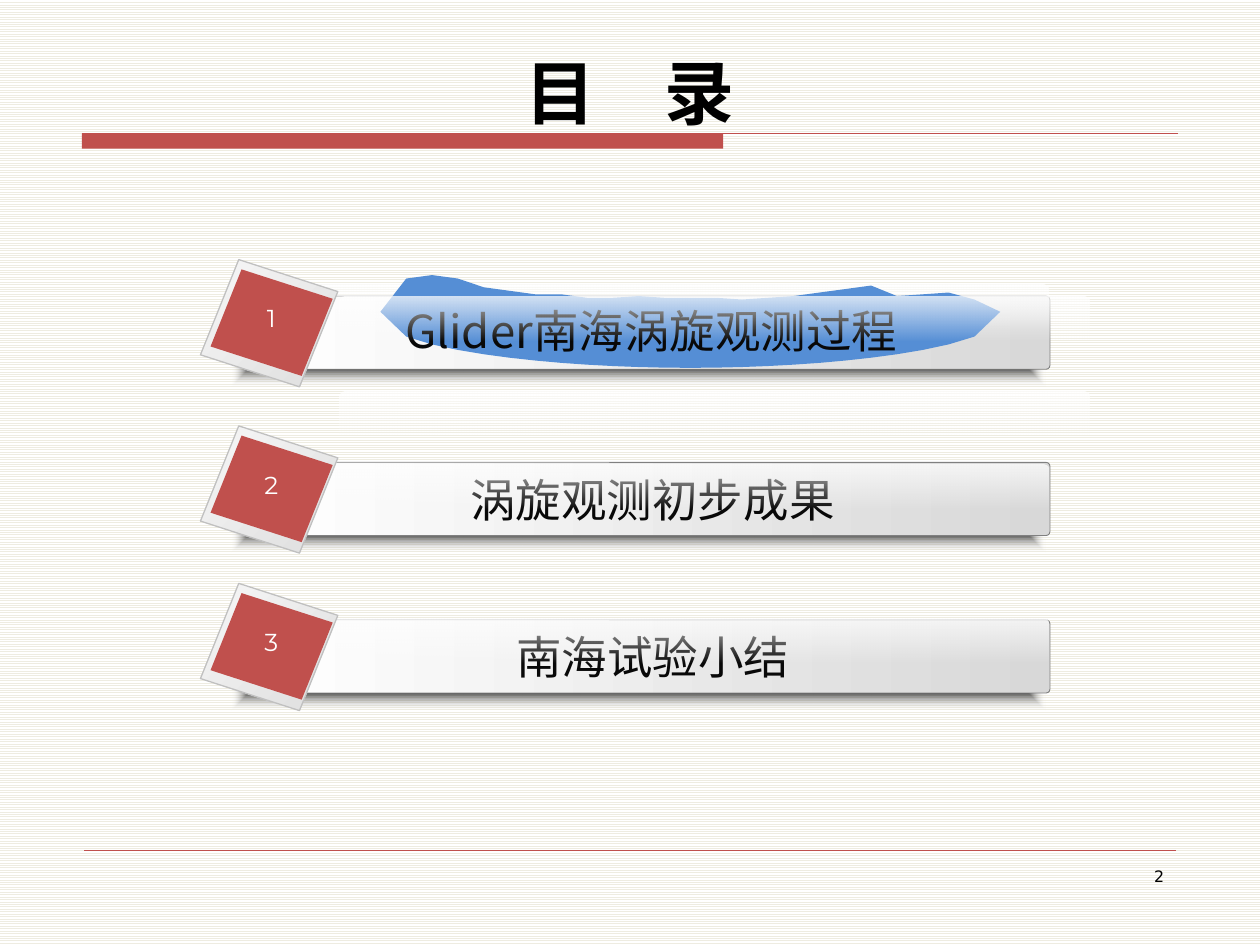
from math import pi, sin
from lxml.etree import SubElement
from pptx import Presentation
from pptx.dml.color import RGBColor
from pptx.enum.dml import MSO_PATTERN
from pptx.enum.shapes import MSO_CONNECTOR, MSO_SHAPE
from pptx.enum.text import MSO_ANCHOR, MSO_AUTO_SIZE, PP_ALIGN
from pptx.oxml.ns import qn
from pptx.util import Pt

RED = "C0504D"
BLUE = "558ED5"
INK = "080808"
BLACK = "000000"
WHITE = "FFFFFF"
CJK = "Noto Sans CJK SC"

GLOSS = [(WHITE, 75), (WHITE, 0)]
SHADOW = [(INK, 80), (WHITE, 0)]
BAR = [(WHITE, 100), ("D8D8D8", 100)]
PAPER = [("F8F8F8", 100), ("DDDDDD", 100)]

HEADER_LEFT, HEADER_RIGHT, HEADER_TOP = 46.8, 673.2, 76.3
BAR_LEFT, BAR_WIDTH, BAR_HEIGHT = 146, 454, 41.8
TILE_ACROSS, TILE_DOWN = (56.6, 18.3), (-21.9, 54.4)
FIRST_TOP = 169.2
ROWS = [
    ("1", "", FIRST_TOP, -6.5),
    ("2", "涡旋观测初步成果", 264.2, 1.4),
    ("3", "南海试验小结", 354.2, -0.7),
]
BRUSH_LEFT, BRUSH_WIDTH = 217.4, 354.2
BRUSH_TIP, BRUSH_DEPTH = 9, 32
BRUSH_RIDGE = [9, -10, -12, -10, -5, -3, -1, -1, 1, 1, 0, 1, 1,
               1, 2, 1, 0, -2, -4, -6, 0, -1, -2, 2, 9]


def color(value):
    return RGBColor.from_string(value)


def paint(shape, fill, line=None, width=0.75):
    shape.shadow.inherit = False
    if fill:
        shape.fill.solid()
        shape.fill.fore_color.rgb = color(fill)
    if line:
        shape.line.color.rgb = color(line)
        shape.line.width = Pt(width)
    else:
        shape.line.fill.background()
    return shape


def blend(shape, stops, angle=None):
    shape.fill.background()
    properties = shape.element.spPr
    gradient = SubElement(properties, qn("a:gradFill"), rotWithShape="1")
    properties.replace(properties.find(qn("a:noFill")), gradient)
    stop_list = SubElement(gradient, qn("a:gsLst"))
    for position, (value, opacity) in zip((0, 100000), stops):
        stop = SubElement(stop_list, qn("a:gs"), pos=str(position))
        tint = SubElement(stop, qn("a:srgbClr"), val=value)
        if opacity < 100:
            SubElement(tint, qn("a:alpha"), val=str(opacity * 1000))
    if angle is None:
        center = SubElement(gradient, qn("a:path"), path="shape")
        SubElement(center, qn("a:fillToRect"), {side: "50000" for side in "ltrb"})
    else:
        SubElement(gradient, qn("a:lin"), ang=str(angle * 60000), scaled="0")


def add_block(shapes, kind, left, top, width, height, corner=None):
    shape = shapes.add_shape(kind, Pt(left), Pt(top), Pt(width), Pt(height))
    if corner is not None:
        shape.adjustments[0] = corner
    return shape


def add_gloss(shapes, left, top):
    gloss = add_block(shapes, MSO_SHAPE.ROUNDED_RECTANGLE, left, top, 428.5, 25.2, 0.113)
    blend(paint(gloss, None), GLOSS, 90)


def add_outline(shapes, points):
    corners = [(Pt(x), Pt(y)) for x, y in points]
    builder = shapes.build_freeform(*corners[0])
    builder.add_line_segments(corners[1:], close=True)
    return builder.convert_to_shape()


def add_tile(shapes, center_x, center_y, across=1, down=1):
    corners = []
    for side, end in ((1, 1), (-1, 1), (-1, -1), (1, -1)):
        x = center_x + (side * across * TILE_ACROSS[0] + end * down * TILE_DOWN[0]) / 2
        y = center_y + (side * across * TILE_ACROSS[1] + end * down * TILE_DOWN[1]) / 2
        corners.append((x, y))
    return add_outline(shapes, corners)


def add_brush(shapes, top):
    steps = len(BRUSH_RIDGE) - 1
    upper = []
    lower = []
    for index, ridge in enumerate(BRUSH_RIDGE):
        share = index / steps
        x = BRUSH_LEFT + BRUSH_WIDTH * share
        upper.append((x, top + ridge))
        belly = BRUSH_DEPTH * abs(sin(pi * share)) ** 0.4
        lower.append((x, top + BRUSH_TIP + belly))
    paint(add_outline(shapes, upper + lower[-2:0:-1]), BLUE)


def add_line(shapes, left, right, y, width):
    line = shapes.add_connector(MSO_CONNECTOR.STRAIGHT, Pt(left), Pt(y), Pt(right), Pt(y))
    line.line.color.rgb = color(RED)
    line.line.width = Pt(width)
    SubElement(line.element.spPr, qn("a:effectLst"))


def write(box, text, size, font, value, align=PP_ALIGN.CENTER, wrap=True,
          anchor=MSO_ANCHOR.TOP, bold=False, spacing=None):
    frame = box.text_frame
    frame.word_wrap = wrap
    frame.auto_size = MSO_AUTO_SIZE.NONE
    frame.vertical_anchor = anchor
    para = frame.paragraphs[0]
    para.alignment = align
    span = para.add_run()
    span.text = text
    span.font.size = Pt(size)
    span.font.name = font
    span.font.bold = bold
    span.font.color.rgb = color(value)
    if font == CJK:
        SubElement(span.font._element, qn("a:ea"), typeface=font)
    if spacing:
        span.font._element.set("spc", str(round(spacing * 100)))
    return frame


def add_text(shapes, left, top, width, height, *content, **options):
    box = shapes.add_textbox(Pt(left), Pt(top), Pt(width), Pt(height))
    return write(box, *content, **options)


def add_row(page, number, label, top, gloss_offset):
    shapes = page.shapes.add_group_shape().shapes
    shadow = add_block(shapes, MSO_SHAPE.RECTANGLE, 132.3, top + 30.2, 465, 21.6)
    blend(paint(shadow, None), SHADOW)
    bar = add_block(shapes, MSO_SHAPE.ROUNDED_RECTANGLE, BAR_LEFT, top, BAR_WIDTH, BAR_HEIGHT, 0.054)
    blend(paint(bar, None, "808080", 0.5), BAR, 0)
    if label:
        write(bar, label, 26, CJK, INK, wrap=False, anchor=MSO_ANCHOR.MIDDLE)
    add_gloss(shapes, 170.5, top + gloss_offset)
    frame = add_tile(shapes, 153.8, top + 15.5)
    blend(paint(frame, None, "C0C0C0"), PAPER, 45)
    paint(add_tile(shapes, 155.2, top + 15.2, across=0.92, down=0.81), RED)
    add_text(shapes, 142.5, top + 0.7, 25, 28.8, number, 14, "Montserrat", WHITE,
             wrap=False, spacing=-0.7)


def add_background(page):
    backdrop = page.background.fill
    backdrop.patterned()
    backdrop.pattern = MSO_PATTERN.LIGHT_HORIZONTAL
    backdrop.fore_color.rgb = color("EEECE1")
    backdrop.back_color.rgb = color(WHITE)


def add_header(page):
    band = add_block(page.shapes, MSO_SHAPE.RECTANGLE, HEADER_LEFT, HEADER_TOP, 366.5, 8.7)
    paint(band, RED)
    add_line(page.shapes, HEADER_LEFT, HEADER_RIGHT, HEADER_TOP, 0.75)
    title = page.shapes.title
    title.left, title.top, title.width, title.height = Pt(123.8), Pt(24.5), Pt(472.4), Pt(38)
    frame = write(title, "目　录", 40, "Times New Roman", BLACK, bold=True)
    frame.margin_top = Pt(4)


def add_footer(page):
    add_line(page.shapes, 48.2, 671.8, 486, 0.25)
    add_text(page.shapes, 516.2, 491.8, 156.2, 37.4, "2", 9, "DejaVu Sans", BLACK,
             align=PP_ALIGN.RIGHT)


def add_current_topic(page):
    add_brush(page.shapes, FIRST_TOP)
    frame = add_text(page.shapes, 203, FIRST_TOP, 331.2, 38.9, "Glider南海涡旋观测过程", 26, CJK, INK,
                     anchor=MSO_ANCHOR.MIDDLE)
    frame.margin_left = Pt(14.4)
    for top in (223.9, FIRST_TOP):
        add_gloss(page.shapes, 194, top)


def main():
    deck = Presentation()
    deck.slide_width, deck.slide_height = Pt(720), Pt(540)
    page = deck.slides.add_slide(deck.slide_layouts[5])
    add_background(page)
    add_header(page)
    add_footer(page)
    for row in ROWS:
        add_row(page, *row)
    add_current_topic(page)
    deck.save("out.pptx")


if __name__ == "__main__":
    main()
